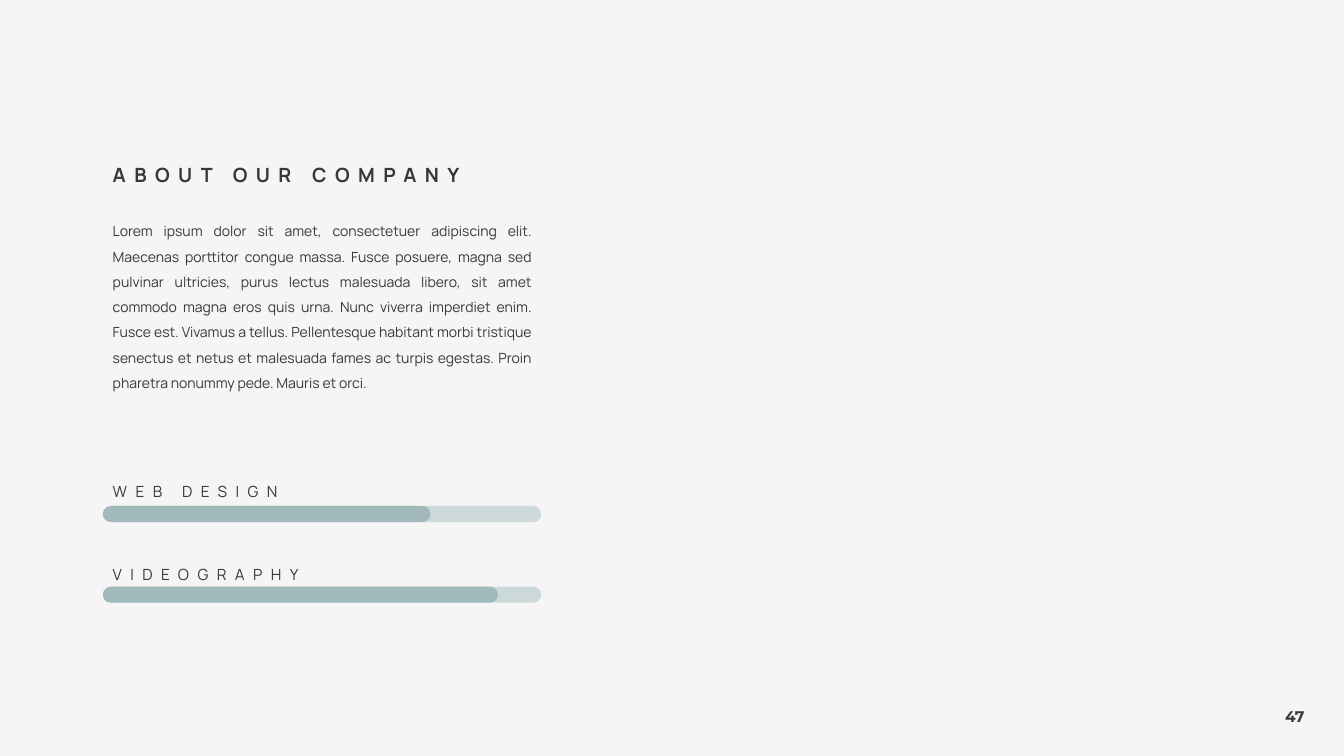
import pptx
import pptx.dml.color
import pptx.enum.shapes
import pptx.enum.text
import pptx.util

Pt = pptx.util.Pt
ALIGN = pptx.enum.text.PP_ALIGN
ANCHOR = pptx.enum.text.MSO_ANCHOR

LEFT = 73.44
COLUMN_WIDTH = 313.2
BAR_HEIGHT = 11.5
LABEL_WIDTH = 260.64

ABOUT = (
    "Lorem ipsum dolor sit amet, consectetuer adipiscing elit. Maecenas "
    "porttitor congue massa. Fusce posuere, magna sed pulvinar ultricies, "
    "purus lectus malesuada libero, sit amet commodo magna eros quis urna. "
    "Nunc viverra imperdiet enim. Fusce est. Vivamus a tellus. Pellentesque "
    "habitant morbi tristique senectus et netus et malesuada fames ac turpis "
    "egestas. Proin pharetra nonummy pede. Mauris et orci."
)

# Label, label top, label height, bar top, filled width
SKILLS = [
    ("WEB DESIGN", 334.08, 27.36, 361.44, 234),
    ("VIDEOGRAPHY", 394.56, 25.2, 419.04, 282.24),
]


def color(hex_string):
    return pptx.dml.color.RGBColor.from_string(hex_string)


def write_text(frame, text, size=11, font="Manrope", ink="38383A", bold=False,
               align=ALIGN.LEFT, line_spacing=1.5, letter_spacing=0):
    paragraph = frame.paragraphs[0]
    paragraph.alignment = align
    paragraph.line_spacing = line_spacing
    run = paragraph.add_run()
    run.text = text
    run.font.size = Pt(size)
    run.font.name = font
    run.font.bold = bold
    run.font.color.rgb = color(ink)
    if letter_spacing:
        run.font._element.set("spc", str(letter_spacing * 100))


class SlideBuilder:
    background = "F5F5F5"
    track = "CDD8DA"
    accent = "A1B9BB"

    def __init__(self, presentation):
        self.slide = presentation.slides.add_slide(presentation.slide_layouts[6])
        fill = self.slide.background.fill
        fill.solid()
        fill.fore_color.rgb = color(self.background)

    def text_box(self, text, left, top, width, height, parent=None, wrap=True,
                 anchor=ANCHOR.TOP, **text_format):
        shapes = (parent or self.slide).shapes
        box = shapes.add_textbox(Pt(left), Pt(top), Pt(width), Pt(height))
        frame = box.text_frame
        frame.word_wrap = wrap
        frame.auto_size = pptx.enum.text.MSO_AUTO_SIZE.SHAPE_TO_FIT_TEXT
        frame.vertical_anchor = anchor
        write_text(frame, text, **text_format)

    def bar(self, parent, top, width, fill):
        shape = parent.shapes.add_shape(
            pptx.enum.shapes.MSO_SHAPE.ROUNDED_RECTANGLE,
            Pt(LEFT), Pt(top), Pt(width), Pt(BAR_HEIGHT))
        shape.adjustments[0] = 0.5
        shape.shadow.inherit = False
        shape.fill.solid()
        shape.fill.fore_color.rgb = color(fill)
        shape.line.fill.background()

    def skill(self, label, label_top, label_height, bar_top, filled_width):
        group = self.slide.shapes.add_group_shape()
        self.bar(group, bar_top, COLUMN_WIDTH, self.track)
        self.bar(group, bar_top, filled_width, self.accent)
        self.text_box(label, LEFT, label_top, LABEL_WIDTH, label_height,
                      parent=group, anchor=ANCHOR.MIDDLE, letter_spacing=6)


def main():
    presentation = pptx.Presentation()
    presentation.slide_width = Pt(960)
    presentation.slide_height = Pt(540)
    builder = SlideBuilder(presentation)

    # Page number
    builder.text_box("47", 910.8, 501.84, 29.52, 20.88, wrap=False,
                     font="Montserrat", bold=True, line_spacing=1.0)

    # Introduction
    builder.text_box(ABOUT, LEFT, 149.76, COLUMN_WIDTH, 134.64,
                     size=10, align=ALIGN.JUSTIFY)
    builder.text_box("ABOUT OUR COMPANY", LEFT, 104.4, COLUMN_WIDTH, 29.52,
                     size=14, bold=True, align=ALIGN.JUSTIFY, letter_spacing=6)

    # Skill bars
    for skill in SKILLS:
        builder.skill(*skill)

    presentation.save("out.pptx")


if __name__ == "__main__":
    main()
